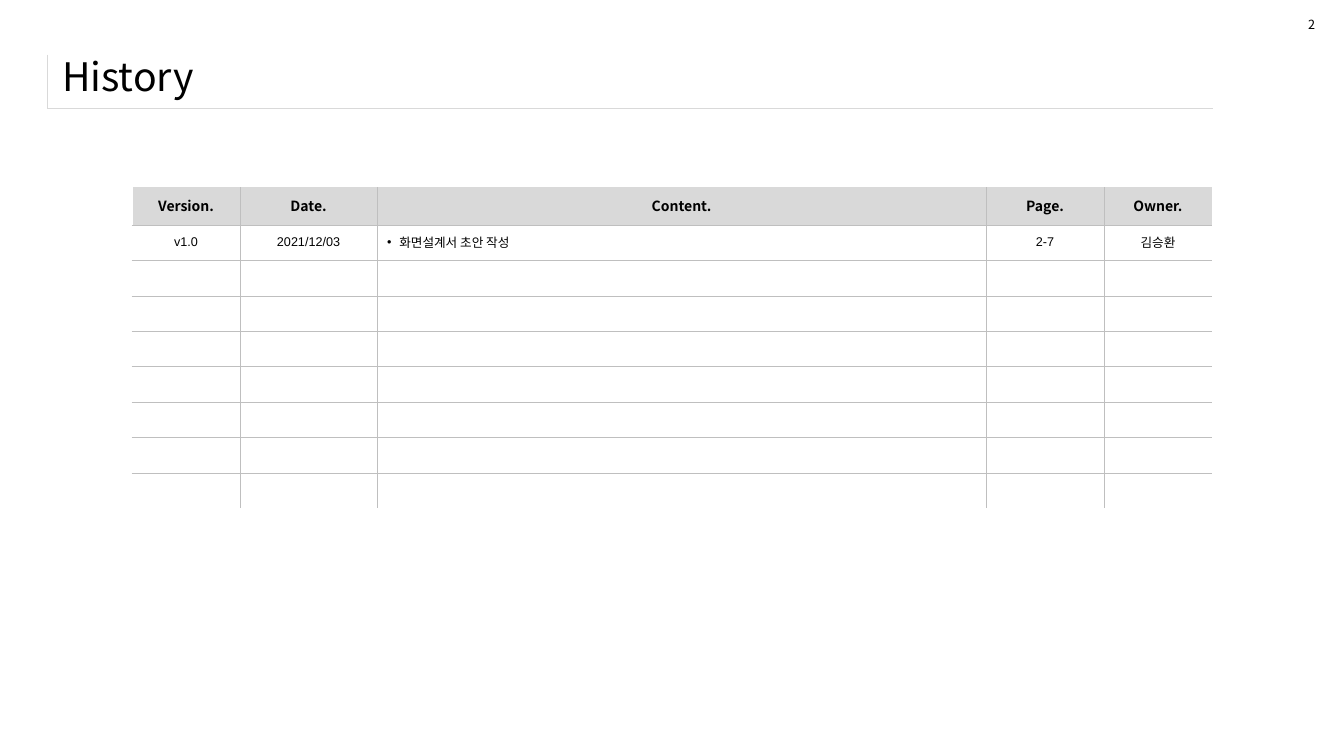
from dataclasses import dataclass
from typing import Any, Optional

import lxml.etree
import pptx
import pptx.dml.color
import pptx.enum.text
import pptx.oxml.ns
import pptx.util

Pt = pptx.util.Pt
RGBColor = pptx.dml.color.RGBColor
Align = pptx.enum.text.PP_ALIGN
Anchor = pptx.enum.text.MSO_ANCHOR
qn = pptx.oxml.ns.qn

BLACK = RGBColor(0x00, 0x00, 0x00)
WHITE = RGBColor(0xFF, 0xFF, 0xFF)
LIGHT_GRAY = RGBColor(0xD9, 0xD9, 0xD9)
GRID_GRAY = RGBColor(0xBF, 0xBF, 0xBF)

NOTO = "Noto Sans CJK KR"
ARIAL = "Arial"


@dataclass(frozen=True)
class Box:
    """Place and size in points."""
    left: float
    top: float
    width: float
    height: float

    def lengths(self) -> list:
        """Return left, top, width and height as lengths."""
        return [Pt(value) for value in (self.left, self.top, self.width, self.height)]


@dataclass(frozen=True)
class Column:
    """One column of the history table."""
    heading: str
    width: float
    entry: str
    font: str
    bulleted: bool = False


@dataclass(frozen=True)
class Label:
    """A text box outside the tables."""
    text: str
    box: Box
    size: float
    frame: dict


@dataclass(frozen=True)
class Border:
    """Colour and width of a cell edge."""
    color: RGBColor
    width: float


GRID = Border(GRID_GRAY, 0.25)
RULE = Border(LIGHT_GRAY, 0.25)
OUTER = Border(WHITE, 1)

COLUMNS = [
    Column("Version.", 77, "v1.0", ARIAL),
    Column("Date.", 98, "2021/12/03", ARIAL),
    Column("Content.", 435, "화면설계서 초안 작성", NOTO, bulleted=True),
    Column("Page.", 84.25, "2-7", ARIAL),
    Column("Owner.", 77, "김승환", NOTO),
]
HEADER_HEIGHT = 26.8
ROW_HEIGHT = 25.35
EMPTY_ROWS = 7
BULLET_INDENT = 8.64

HISTORY_BOX = Box(94.4, 133.7, sum(column.width for column in COLUMNS),
                  HEADER_HEIGHT + ROW_HEIGHT * (EMPTY_ROWS + 1))
RULE_BOX = Box(33.9, 39, 832.3, 38.2)

LABELS = [
    Label("History", Box(37.4, 31.7, 899.3, 45.4), 28,
          {"word_wrap": True, "vertical_anchor": Anchor.MIDDLE}),
    Label("2", Box(927.4, 8.6, 19.4, 18), 9, {"word_wrap": False}),
]


def apply_format(target: Any, values: dict) -> None:
    """Set each attribute of the target from the dict."""
    for name, value in values.items():
        setattr(target, name, value)


def write_text(paragraph: Any, text: str, size: float, font: str, bold: bool = False) -> None:
    """Add one black run, with the font for Latin and Korean letters alike."""
    run = paragraph.add_run()
    apply_format(run, {"text": text})
    apply_format(run.font, {"size": Pt(size), "name": font, "bold": bold})
    run.font.color.rgb = BLACK
    properties = run.font._element
    properties.find(qn("a:latin")).addnext(
        properties.makeelement(qn("a:ea"), {"typeface": font}))


def add_bullet(paragraph: Any) -> None:
    """Give the paragraph a round bullet with a hanging indent."""
    properties = paragraph._p.get_or_add_pPr()
    indent = Pt(BULLET_INDENT)
    properties.set("marL", str(indent))
    properties.set("indent", str(-indent))
    lxml.etree.SubElement(properties, qn("a:buFont"), typeface=ARIAL)
    lxml.etree.SubElement(properties, qn("a:buChar"), char="•")


def style_cell(cell: Any, borders: dict[str, Optional[Border]],
               fill: Optional[RGBColor] = None) -> None:
    """Draw the edges L, R, T and B, then set the fill."""
    properties = cell._tc.get_or_add_tcPr()
    for side in "LRTB":
        border = borders.get(side)
        width = str(Pt(border.width)) if border else "0"
        line = lxml.etree.SubElement(properties, qn(f"a:ln{side}"), w=width)
        if border:
            solid = lxml.etree.SubElement(line, qn("a:solidFill"))
            lxml.etree.SubElement(solid, qn("a:srgbClr"), val=str(border.color))
        else:
            lxml.etree.SubElement(line, qn("a:noFill"))
    if fill is None:
        cell.fill.background()
    else:
        cell.fill.solid()
        cell.fill.fore_color.rgb = fill
    cell.vertical_anchor = Anchor.MIDDLE


def add_plain_table(slide: Any, rows: int, columns: int, box: Box) -> Any:
    """Add a table without header row or banding."""
    table = slide.shapes.add_table(rows, columns, *box.lengths()).table
    apply_format(table, {"first_row": False, "horz_banding": False})
    return table


def add_title_rule(slide: Any) -> None:
    """Add the one-cell table whose left and bottom edges frame the title."""
    table = add_plain_table(slide, 1, 1, RULE_BOX)
    style_cell(table.cell(0, 0), {"L": RULE, "B": RULE})


def add_history(slide: Any) -> None:
    """Add the revision table: headings, one entry and empty rows."""
    row_count = EMPTY_ROWS + 2
    table = add_plain_table(slide, row_count, len(COLUMNS), HISTORY_BOX)
    for index, row in enumerate(table.rows):
        row.height = Pt(ROW_HEIGHT if index else HEADER_HEIGHT)
    for column_index, column in enumerate(COLUMNS):
        table.columns[column_index].width = Pt(column.width)
        for row_index in range(row_count):
            cell = table.cell(row_index, column_index)
            style_cell(cell, {
                "L": GRID if column_index else OUTER,
                "R": GRID if column_index < len(COLUMNS) - 1 else None,
                "T": GRID if row_index else None,
                "B": GRID if row_index < row_count - 1 else OUTER,
            }, None if row_index else LIGHT_GRAY)
            paragraph = cell.text_frame.paragraphs[0]
            paragraph.alignment = Align.CENTER
            if row_index == 0:
                write_text(paragraph, column.heading, 10, NOTO, bold=True)
            elif row_index == 1:
                if column.bulleted:
                    paragraph.alignment = Align.LEFT
                    add_bullet(paragraph)
                write_text(paragraph, column.entry, 9, column.font)
            else:
                lxml.etree.SubElement(paragraph._p, qn("a:endParaRPr"), sz="900")


def add_label(slide: Any, label: Label) -> None:
    """Add one text box."""
    text_frame = slide.shapes.add_textbox(*label.box.lengths()).text_frame
    apply_format(text_frame, label.frame)
    write_text(text_frame.paragraphs[0], label.text, label.size, NOTO)


def main() -> None:
    """Build the slide and save it."""
    presentation = pptx.Presentation()
    apply_format(presentation, {"slide_width": Pt(960), "slide_height": Pt(540)})
    slide = presentation.slides.add_slide(presentation.slide_layouts[6])
    add_title_rule(slide)
    add_history(slide)
    for label in LABELS:
        add_label(slide, label)
    presentation.save("out.pptx")


main()
